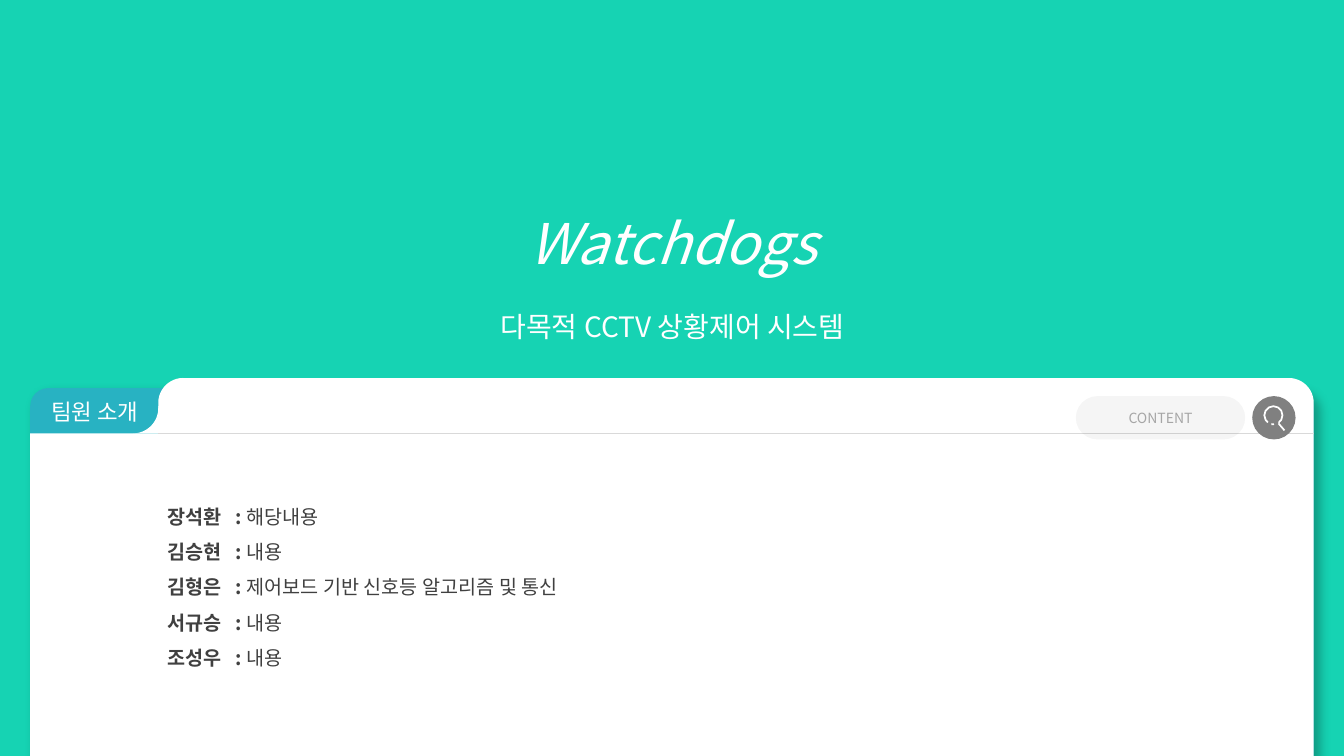
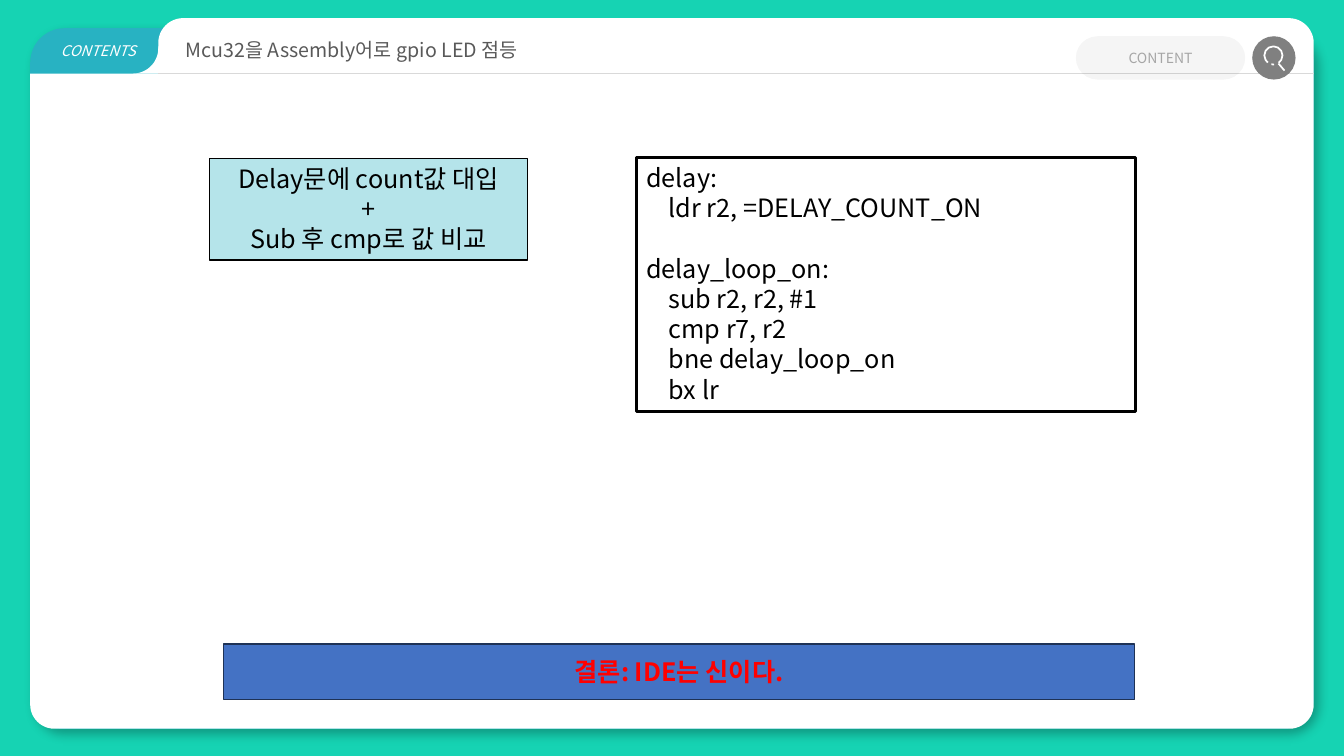
import math
from lxml import etree
from pptx import Presentation
from pptx.dml import color
from pptx.enum import shapes, text
from pptx.oxml import ns
from pptx.util import Inches, Pt

SHAPE = shapes.MSO_SHAPE
MID, TOP = text.MSO_ANCHOR.MIDDLE, text.MSO_ANCHOR.TOP
LEFT, CENTER = text.PP_ALIGN.LEFT, text.PP_ALIGN.CENTER


def rgb(code):
    return color.RGBColor.from_string(code)


def add_tag(parent, tag, **attrs):
    node = etree.SubElement(parent, ns.qn(tag))
    for key, value in attrs.items():
        node.set(key, str(value))
    return node


class Deck:
    FONT = "Noto Sans CJK KR"
    MINT, TEAL, WHITE, BLACK = "16D3B3", "28B2C2", "FFFFFF", "000000"
    GRAY, PALE, DARK = "808080", "A6A6A6", "404040"
    EDGE, WIDE = 0.3, 12.73      # card left and width
    TAB, BAR = 1.57, 0.55        # header bar left and height

    def __init__(self):
        self.prs = Presentation()
        self.prs.slide_width, self.prs.slide_height = Inches(13.33), Inches(7.5)

    def page(self):
        self.slide = self.prs.slides.add_slide(self.prs.slide_layouts[6])
        fill = self.slide.background.fill
        fill.solid()
        fill.fore_color.rgb = rgb(self.MINT)

    # Basic elements
    def paint(self, item, fill=None, line=None, width=1, alpha=None):
        item.shadow.inherit = False
        if fill:
            item.fill.solid()
            item.fill.fore_color.rgb = rgb(fill)
            if alpha:
                tone = item.fill._xPr.find(".//" + ns.qn("a:srgbClr"))
                add_tag(tone, "a:alpha", val=alpha * 1000)
        else:
            item.fill.background()
        if line:
            item.line.color.rgb = rgb(line)
            item.line.width = Pt(width)
        else:
            item.line.fill.background()

    def shape(self, kind, box, fill=None, adj=(), **look):
        item = self.slide.shapes.add_shape(kind, *map(Inches, box))
        for i, value in enumerate(adj):
            item.adjustments[i] = value
        self.paint(item, fill, **look)
        return item

    def line(self, start, end, tone, width):
        item = self.slide.shapes.add_connector(
            shapes.MSO_CONNECTOR.STRAIGHT, *map(Inches, start + end))
        item.line.color.rgb = rgb(tone)
        item.line.width = Pt(width)
        add_tag(item._element.spPr, "a:effectLst")

    # Text
    def frame(self, item, anchor=MID, grow=False):
        body = item.text_frame
        body.word_wrap = True
        body.vertical_anchor = anchor
        if grow:
            body.auto_size = text.MSO_AUTO_SIZE.SHAPE_TO_FIT_TEXT
        return body

    def box(self, area):
        item = self.slide.shapes.add_textbox(*map(Inches, area))
        return self.frame(item, TOP, True)

    def para(self, body, align=LEFT, space=None):
        first = body.paragraphs[0]
        para = body.add_paragraph() if first.runs else first
        para.alignment = align
        if space:
            para.line_spacing = space
        return para

    def run(self, para, words, size, tone, bold=False, slant=False):
        run = para.add_run()
        run.text = words
        font = run.font
        font.size, font.bold, font.italic = Pt(size), bold, slant
        font.color.rgb = rgb(tone)
        font.name = self.FONT
        add_tag(run._r.get_or_add_rPr(), "a:ea", typeface=self.FONT)

    # Folder card with tab, header bar and search field
    def card(self, top, end, round_back, round_front):
        base = top + self.BAR
        back = self.shape(SHAPE.ROUND_2_SAME_RECTANGLE,
                          (self.EDGE, top + 0.1, self.WIDE, end - top - 0.1),
                          self.TEAL, (0.049, round_back))
        glow = add_tag(back._element.spPr.find(ns.qn("a:effectLst")),
                       "a:outerShdw", blurRad=Pt(8), dist=Pt(6),
                       dir=45 * 60000, algn="tl", rotWithShape=0)
        tone = add_tag(glow, "a:srgbClr", val=self.BLACK)
        add_tag(tone, "a:alpha", val=28000)
        self.shape(SHAPE.ROUND_2_SAME_RECTANGLE,
                   (self.EDGE, base, self.WIDE, end - base),
                   self.WHITE, (0, round_front))
        self.curve(base)
        bar = self.shape(SHAPE.ROUND_2_SAME_RECTANGLE,
                         (self.TAB, top, 11.46, self.BAR),
                         self.WHITE, (0.448, 0))
        self.line((self.TAB, base), (13.03, base), "D9D9D9", 0.5)
        self.search(top + 0.18)
        return bar

    def curve(self, base):
        size = 0.25

        def arc(mid, turns):
            return [(mid + size * math.cos(math.radians(a)),
                     base - size + size * math.sin(math.radians(a)))
                    for a in turns]

        dots = arc(1.64, range(90, -1, -6))
        dots += [(1.88, base - 0.27), (self.TAB, base - 0.27)]
        dots += arc(1.32, range(0, 91, 6))
        dots = [(Inches(x), Inches(y)) for x, y in dots]
        path = self.slide.shapes.build_freeform(*dots[0])
        path.add_line_segments(dots[1:], close=True)
        self.paint(path.convert_to_shape(), self.WHITE)

    def search(self, top):
        pill = self.shape(SHAPE.ROUNDED_RECTANGLE, (10.67, top, 1.68, 0.43),
                          self.BLACK, (0.5,), alpha=4)
        self.run(self.para(self.frame(pill), CENTER), "CONTENT", 10, self.PALE)
        self.shape(SHAPE.OVAL, (12.42, top, 0.43, 0.43), self.GRAY)
        for adj in ((76.615, 32.909), (51.71, 61.635)):
            self.shape(SHAPE.ARC, (12.54, top + 0.1, 0.18, 0.18), adj=adj,
                       line=self.WHITE, width=1.25)
        self.line((12.68, top + 0.27), (12.74, top + 0.34), self.WHITE, 1.25)


def cover(deck):
    deck.page()
    deck.card(3.75, 7.5, 0, 0)
    tab = deck.box((0.33, 3.9, 1.22, 0.37))
    deck.run(deck.para(tab, CENTER), "팀원 소개", 16, deck.WHITE)

    # Title
    title = deck.box((3.64, 2.02, 6.06, 1.34))
    deck.run(deck.para(title, CENTER), "Watchdogs", 40, deck.WHITE, slant=True)
    deck.run(deck.para(title, CENTER, 2.0), "다목적 CCTV 상황제어 시스템",
             20, deck.WHITE)

    # Team
    team = deck.box((1.56, 4.84, 9.98, 1.87))
    for name, role in (("장석환", "해당내용"),
                       ("김승현", "내용"),
                       ("김형은", "제어보드 기반 신호등 알고리즘 및 통신"),
                       ("서규승", "내용"),
                       ("조성우", "내용")):
        para = deck.para(team, space=1.5)
        tabs = add_tag(para._p.get_or_add_pPr(), "a:tabLst")
        add_tag(tabs, "a:tab", pos=Inches(0.68), algn="l")
        deck.run(para, name + "\t: ", 14, deck.DARK, bold=True)
        deck.run(para, role, 14, deck.DARK)


def delay(deck):
    deck.page()
    bar = deck.frame(deck.card(0.18, 7.23, 0.042, 0.037))
    bar.margin_left = Inches(0.2)
    deck.run(deck.para(bar), "Mcu32을 Assembly어로 gpio LED 점등", 14, "595959")
    tab = deck.box((0.46, 0.37, 1.03, 0.28))
    deck.run(deck.para(tab, CENTER), "CONTENTS", 10.5, deck.WHITE, slant=True)

    # Code
    code = deck.frame(deck.shape(SHAPE.RECTANGLE, (6.31, 1.56, 4.95, 2.52),
                                 line=deck.BLACK, width=2), TOP, True)
    for row in ("delay:",
                "    ldr r2, =DELAY_COUNT_ON",
                "delay_loop_on:",
                "    sub r2, r2, #1",
                "    cmp r7, r2",
                "    bne delay_loop_on",
                "    bx lr"):
        para = deck.para(code)
        if row == "delay_loop_on:":
            para.space_before = Pt(21.6)
        deck.run(para, row, 18, deck.BLACK)

    # Method
    note = deck.frame(deck.shape(SHAPE.RECTANGLE, (2.08, 1.57, 3.15, 1.01),
                                 deck.TEAL, line=deck.BLACK, alpha=34),
                      TOP, True)
    for row in ("Delay문에 count값 대입", "+", "Sub 후 cmp로 값 비교"):
        deck.run(deck.para(note, CENTER), row, 18, deck.BLACK)

    # Conclusion
    end = deck.frame(deck.shape(SHAPE.RECTANGLE, (2.22, 6.39, 9.03, 0.55),
                                "4472C4", line="1E3256"))
    deck.run(deck.para(end, CENTER), "결론: IDE는 신이다.", 18, "FF0000", bold=True)


def main():
    deck = Deck()
    cover(deck)
    delay(deck)
    deck.prs.save("out.pptx")


if __name__ == "__main__":
    main()
